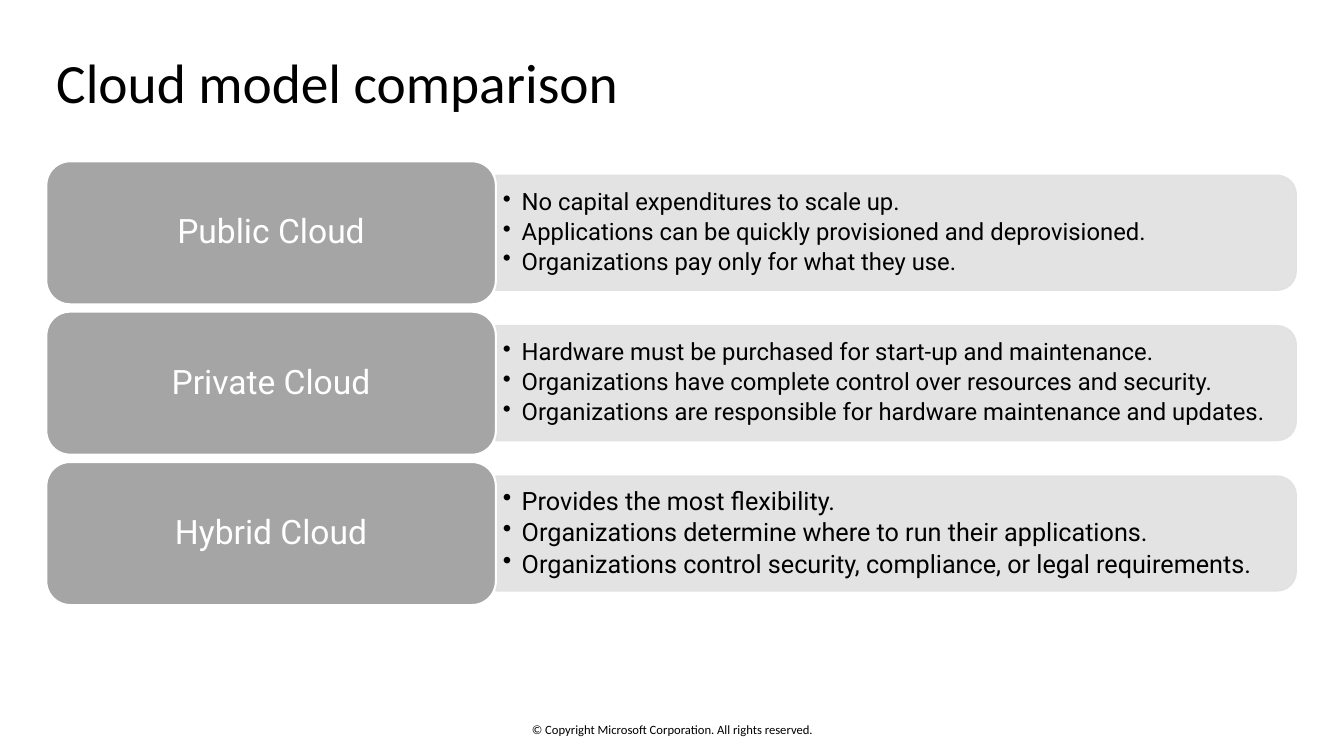
from pptx import Presentation
from pptx.dml.color import RGBColor
from pptx.enum.shapes import MSO_SHAPE
from pptx.enum.text import MSO_ANCHOR, PP_ALIGN
from pptx.oxml.ns import qn
from pptx.util import Pt
from lxml.etree import SubElement

# Content
TITLE = "Cloud model comparison"
MODELS = [
    ("Public Cloud", 17, [
        "No capital expenditures to scale up.",
        "Applications can be quickly provisioned and deprovisioned.",
        "Organizations pay only for what they use.",
    ]),
    ("Private Cloud", 17, [
        "Hardware must be purchased for start-up and maintenance.",
        "Organizations have complete control over resources and security.",
        "Organizations are responsible for hardware maintenance and updates.",
    ]),
    ("Hybrid Cloud", 18, [
        "Provides the most flexibility.",
        "Organizations determine where to run their applications.",
        "Organizations control security, compliance, or legal requirements.",
    ]),
]
FOOTER = "© Copyright Microsoft Corporation. All rights reserved."

# Theme
THEME = {
    "ink": "000000", "paper": "FFFFFF", "label": "A5A5A5", "panel": "E1E1E1",
    "alpha": 90, "head": "Calibri", "body": "Roboto",
    "title": 39.6, "name": 24, "foot": 9,
}

# Layout, in points
LEFT, TOP, PITCH = 33.1, 115.2, 107.4
LABEL_W, LABEL_H = 321.1, 102.2
PANEL_W, PANEL_H = 571.7, 82.1
LIST_W, LIST_H = 567.4, 74.2
INDENT = 13.5

deck = Presentation()
deck.slide_width, deck.slide_height = Pt(960), Pt(540)
slide = deck.slides.add_slide(deck.slide_layouts[6])


def color(key):
    return RGBColor.from_string(THEME[key])


def add_box(x, y, w, h):
    return slide.shapes.add_textbox(Pt(x), Pt(y), Pt(w), Pt(h))


def add_shape(kind, x, y, w, h, fill, line, width):
    shape = slide.shapes.add_shape(kind, Pt(x), Pt(y), Pt(w), Pt(h))
    shape.shadow.inherit = False
    shape.fill.solid()
    shape.fill.fore_color.rgb = color(fill)
    shape.line.color.rgb = color(line)
    shape.line.width = Pt(width)
    return shape


def fade(shape):
    for tone in shape.element.spPr.iter(qn("a:srgbClr")):
        SubElement(tone, qn("a:alpha"), val=str(THEME["alpha"] * 1000))


def write(shape, lines, size, font="body", ink="ink", align=PP_ALIGN.LEFT,
          pad=(7.2, 3.6), spacing=0.9, after=0, bullet=False):
    frame = shape.text_frame
    frame.word_wrap = True
    frame.vertical_anchor = MSO_ANCHOR.MIDDLE
    frame.margin_left = frame.margin_right = Pt(pad[0])
    frame.margin_top = frame.margin_bottom = Pt(pad[1])
    for i, line in enumerate(lines):
        para = frame.add_paragraph() if i else frame.paragraphs[0]
        para.alignment = align
        para.line_spacing = spacing
        para.space_after = Pt(after)
        if bullet:
            props = para._p.get_or_add_pPr()
            props.set("marL", str(Pt(INDENT)))
            props.set("indent", str(-Pt(INDENT)))
            SubElement(props, qn("a:buChar"), char="•")
        run = para.add_run()
        run.text = line
        run.font.size = Pt(size)
        run.font.name = THEME[font]
        run.font.color.rgb = color(ink)


# Footer and title
write(add_box(318.2, 515.5, 324, 10.8), [FOOTER], THEME["foot"], font="head",
      align=PP_ALIGN.CENTER, pad=(0, 0), spacing=1.0)
write(add_box(LEFT, 34.6, 892.8, 53.3), [TITLE], THEME["title"], font="head")

# One row per cloud model
edge = LEFT + LABEL_W
for row, (name, size, points) in enumerate(MODELS):
    top = TOP + row * PITCH
    mid = top + LABEL_H / 2

    # Panel: upright shape turned so that its round corners face right
    panel = add_shape(MSO_SHAPE.ROUND_2_SAME_RECTANGLE,
                      edge + (PANEL_W - PANEL_H) / 2, mid - PANEL_W / 2,
                      PANEL_H, PANEL_W, "panel", "panel", 1)
    panel.rotation = 90
    fade(panel)
    write(add_box(edge, mid - LIST_H / 2, LIST_W, LIST_H), points, size,
          pad=(5, 2.7), after=3, bullet=True)

    # Label
    label = add_shape(MSO_SHAPE.ROUNDED_RECTANGLE, LEFT, top,
                      LABEL_W, LABEL_H, "label", "paper", 1.5)
    write(label, [name], THEME["name"], ink="paper", align=PP_ALIGN.CENTER,
          pad=(16, 10), after=8.4)

deck.save("out.pptx")
